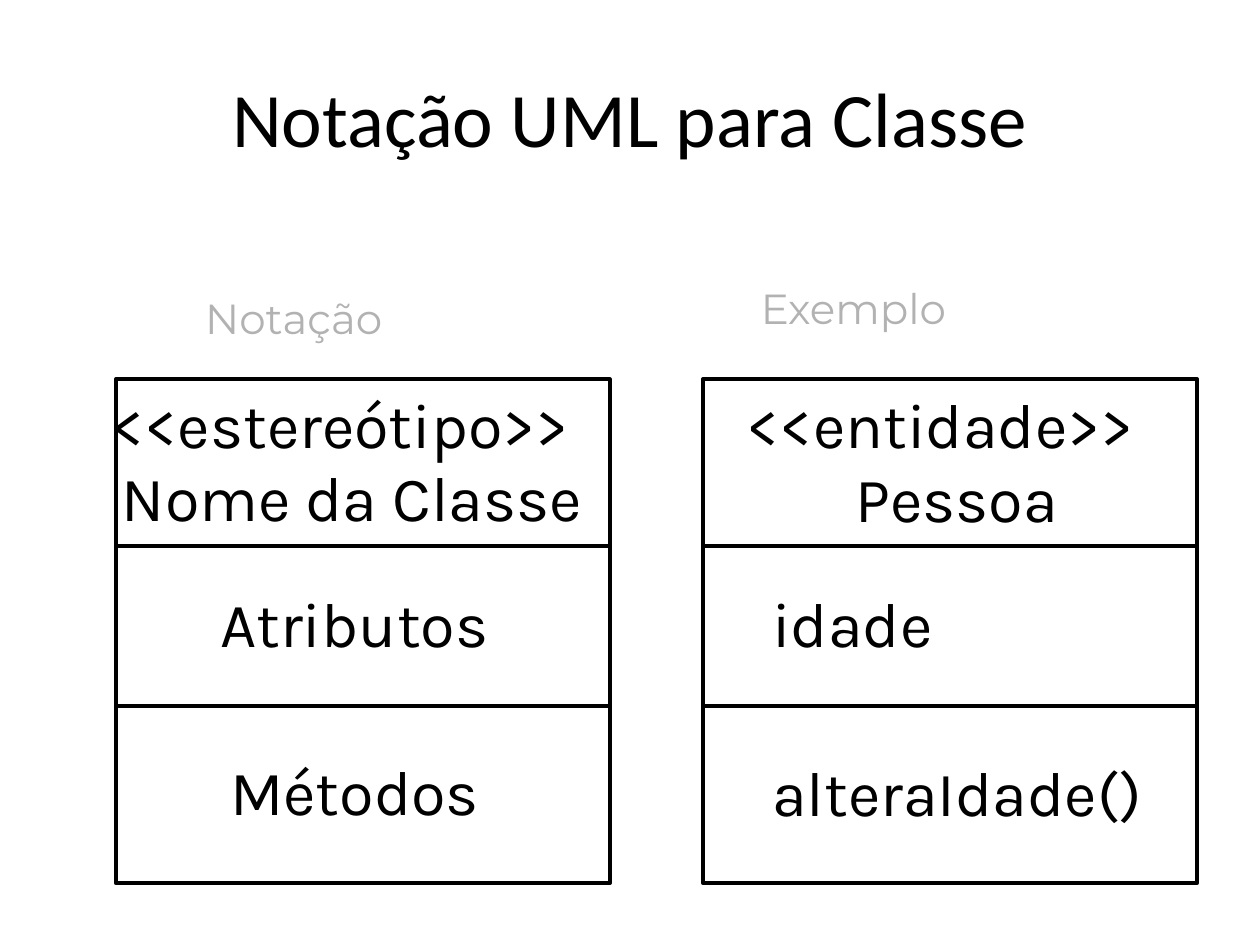
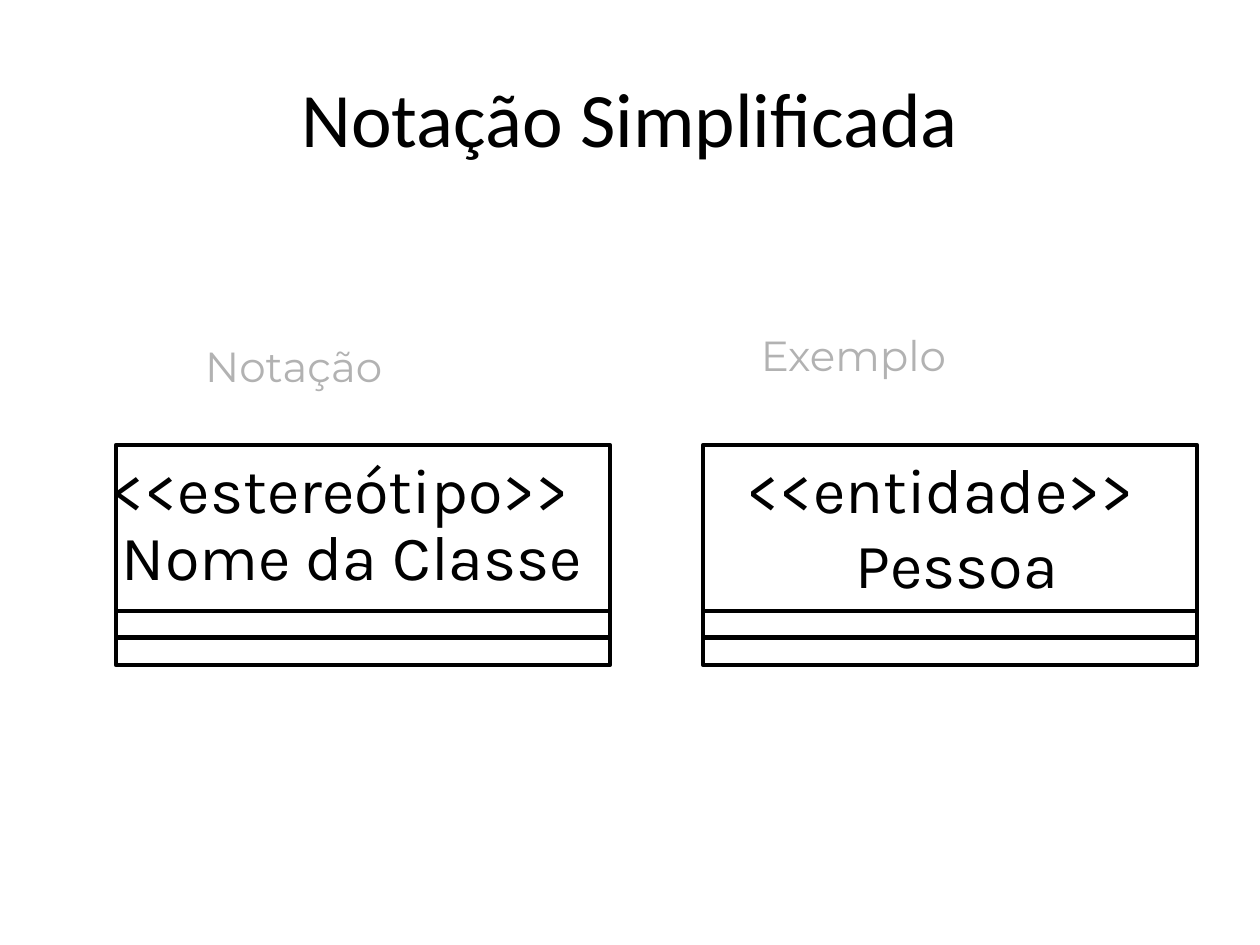
import pptx
import pptx.dml.color
import pptx.enum.shapes
import pptx.enum.text
import pptx.util
from lxml import etree
from dataclasses import dataclass

WIDTH, HEIGHT = pptx.util.Inches(10), pptx.util.Inches(7.5)
COLUMN, ROW = WIDTH / 100, HEIGHT / 75
BLACK, GREY = "000000", "B2B2B2"
CLASS_WIDTH, TEXT_HEIGHT, LABEL_WIDTH = 39.2, 7, 23
NOTATION_LEFT, EXAMPLE_LEFT = 9.2, 55.8
NAME_DIVIDER = 13.2
FIT = pptx.enum.text.MSO_AUTO_SIZE


@dataclass
class Entry:
    """A line of text, placed in columns and rows from the corner of its class."""
    text: str
    left: float
    top: float
    width: float


def color(value):
    """Turn a hex string into a colour."""
    return pptx.dml.color.RGBColor.from_string(value)


def grid(left, top, *sizes):
    """Turn columns and rows into slide lengths."""
    units = (COLUMN, ROW, COLUMN, ROW)
    return [round(value * unit) for value, unit in zip((left, top, *sizes), units)]


def add_text(page, place, text, font, size, ink=BLACK, fit=FIT.NONE, wrap=False):
    """Add one paragraph of text and return its box."""
    box = page.shapes.add_textbox(*grid(*place))
    frame = box.text_frame
    frame.word_wrap = wrap
    frame.auto_size = fit
    para = frame.paragraphs[0]
    para.text = text
    para.font.name = font
    para.font.size = pptx.util.Pt(size)
    para.font.color.rgb = color(ink)
    return box


def add_title(page, text):
    """Add the centred slide title."""
    frame = add_text(page, (5, 3, 90, 12.5), text, "Calibri", 44, wrap=True).text_frame
    frame.vertical_anchor = pptx.enum.text.MSO_ANCHOR.MIDDLE
    frame.paragraphs[0].alignment = pptx.enum.text.PP_ALIGN.CENTER


def add_divider(page, left, top, weight):
    """Add a line across a class."""
    line = page.shapes.add_connector(
        pptx.enum.shapes.MSO_CONNECTOR.STRAIGHT,
        *grid(left, top, left + CLASS_WIDTH, top))
    line.line.color.rgb = color(BLACK)
    line.line.width = pptx.util.Pt(weight)
    etree.SubElement(line._element.spPr, pptx.oxml.ns.qn("a:effectLst"))


def add_class(page, left, top, height, dividers, label, entries):
    """Add a UML class with its dividers, its label above and its entries."""
    box = page.shapes.add_shape(
        pptx.enum.shapes.MSO_SHAPE.RECTANGLE, *grid(left, top, CLASS_WIDTH, height))
    box.shadow.inherit = False
    box.fill.background()
    box.line.color.rgb = color(BLACK)
    box.line.width = pptx.util.Pt(2.25)
    for offset, weight in dividers:
        add_divider(page, left, top + offset, weight)
    for entry in entries:
        place = (left + entry.left, top + entry.top, entry.width, TEXT_HEIGHT)
        add_text(page, place, entry.text, "Karla", 36, fit=FIT.SHAPE_TO_FIT_TEXT)
    place = (left + label.left, top + label.top, label.width, TEXT_HEIGHT)
    add_text(page, place, label.text, "Montserrat", 24, GREY)


def add_page(deck, title, top, height, dividers, label_rise, name_top,
             notation_members=(), example_members=()):
    """Add a slide with the notation beside its example."""
    page = deck.slides.add_slide(deck.slide_layouts[6])
    add_title(page, title)
    add_class(page, NOTATION_LEFT, top, height, dividers,
              Entry("Notação", 6.1, -label_rise, LABEL_WIDTH),
              [Entry("<<estereótipo>>", -1.3, 0, 40.4),
               Entry("Nome da Classe", -0.5, name_top, 39.6), *notation_members])
    add_class(page, EXAMPLE_LEFT, top, height, dividers,
              Entry("Exemplo", 3.6, -label_rise - 0.8, LABEL_WIDTH),
              [Entry("<<entidade>>", 2.5, 0, 34.2),
               Entry("Pessoa", 11.1, 5.9, 18.4), *example_members])


def main():
    """Build and save the deck."""
    deck = pptx.Presentation()
    deck.slide_width, deck.slide_height = WIDTH, HEIGHT
    add_page(deck, "Notação UML para Classe", 30.1, 40,
             [(NAME_DIVIDER, 2.25), (25.9, 2.25)], 7.4, 5.8,
             [Entry("Atributos", 7.3, 15.8, 23.7), Entry("Métodos", 8.1, 29.1, 22.7)],
             [Entry("idade", 4.5, 15.8, 15), Entry("alteraIdade()", 4.5, 29.2, 32)])
    add_page(deck, "Notação Simplificada", 35.3, 17.5,
             [(NAME_DIVIDER, 2.25), (15.3, 3)], 8.8, 5.3)
    deck.save("out.pptx")


if __name__ == "__main__":
    main()
